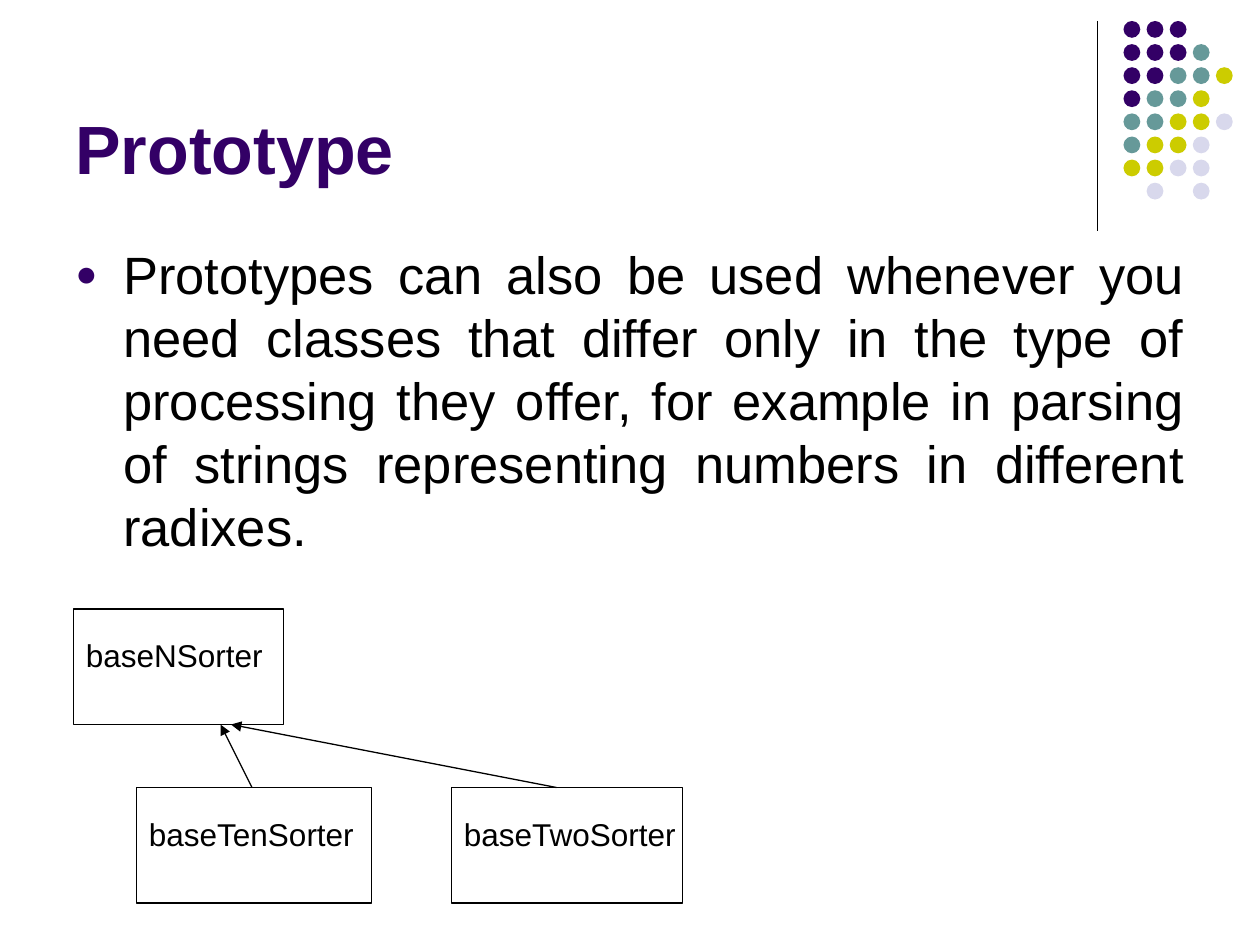
from typing import NamedTuple

from lxml.etree import SubElement
from pptx import Presentation
from pptx.dml.color import RGBColor
from pptx.enum.shapes import MSO_CONNECTOR, MSO_SHAPE
from pptx.enum.text import MSO_ANCHOR, PP_ALIGN
from pptx.oxml.ns import qn
from pptx.util import Inches, Pt

COLS, ROWS = 120, 90  # grid cells across and down the slide
WIDE, HIGH = Inches(10), Inches(7.5)
FONT = "Arial"
HUES = {
    "ink": "000000",
    "plum": "330066",
    "teal": "669999",
    "lime": "CCCC00",
    "mist": "D8D8EC",
}
DOTS = ["PPP", "PPPT", "PPTTL", "PTTL", "TTLLM", "TLLM", "LLMM", " M M"]
KEYS = {"P": "plum", "T": "teal", "L": "lime", "M": "mist"}
DOT, STEP = 1.6, 2.2


class Area(NamedTuple):
    col: float
    row: float
    cols: float
    rows: float


class Node(NamedTuple):
    name: str
    box: Area
    span: float  # columns taken by the label
    wrap: bool


class Link(NamedTuple):
    start: tuple[float, float]
    end: tuple[float, float]
    arrow: bool


NODES = [
    Node("baseNSorter", Area(7, 58, 20, 11), 19.2, False),
    Node("baseTenSorter", Area(13, 75, 22.4, 11), 22.2, False),
    Node("baseTwoSorter", Area(43, 75, 22, 11), 25, True),
]
LINKS = [
    Link((104.5, 2), (104.5, 22), False),
    Link((24, 75), (21, 69), True),
    Link((53, 75), (22, 69), True),
]


def hue(key: str) -> RGBColor:
    return RGBColor.from_string(HUES[key])


def across(col: float) -> int:
    return round(WIDE * col / COLS)


def down(row: float) -> int:
    return round(HIGH * row / ROWS)


def frame(area: Area) -> tuple[int, int, int, int]:
    return across(area.col), down(area.row), across(area.cols), down(area.rows)


def add_text(slide, area: Area, text: str, size: float, key: str = "ink",
             wrap: bool = True):
    """Add a one-paragraph text box; return its frame and paragraph."""
    body = slide.shapes.add_textbox(*frame(area)).text_frame
    body.word_wrap = wrap
    para = body.paragraphs[0]
    para.text = text
    para.font.name = FONT
    para.font.size = Pt(size)
    para.font.color.rgb = hue(key)
    return body, para


def add_bullet(para, key: str) -> None:
    props = para._p.get_or_add_pPr()
    props.set("marL", str(Inches(0.38)))
    props.set("indent", str(-Inches(0.38)))
    tint = SubElement(props, qn("a:buClr"))
    SubElement(tint, qn("a:srgbClr"), val=HUES[key])
    SubElement(props, qn("a:buSzPct"), val="70000")
    SubElement(props, qn("a:buFont"), typeface=FONT)
    SubElement(props, qn("a:buChar"), char="●")


def add_dots(slide) -> None:
    for row, marks in enumerate(DOTS):
        for col, mark in enumerate(marks):
            if mark == " ":
                continue
            spot = Area(107 + col * STEP, 2 + row * STEP, DOT, DOT)
            dot = slide.shapes.add_shape(MSO_SHAPE.OVAL, *frame(spot))
            dot.shadow.inherit = False
            dot.fill.solid()
            dot.fill.fore_color.rgb = hue(KEYS[mark])
            dot.line.fill.background()


def add_node(slide, node: Node) -> None:
    box = slide.shapes.add_shape(MSO_SHAPE.RECTANGLE, *frame(node.box))
    box.shadow.inherit = False
    box.fill.background()
    box.line.color.rgb = hue("ink")
    box.line.width = Pt(0.75)
    label = Area(node.box.col, node.box.row + 2, node.span, 4.8)
    add_text(slide, label, node.name, 18, wrap=node.wrap)


def add_link(slide, link: Link) -> None:
    (col, row), (to_col, to_row) = link.start, link.end
    line = slide.shapes.add_connector(
        MSO_CONNECTOR.STRAIGHT,
        across(col), down(row), across(to_col), down(to_row))
    line.line.color.rgb = hue("ink")
    line.line.width = Pt(0.75)
    if link.arrow:
        SubElement(line.line._get_or_add_ln(), qn("a:tailEnd"), type="triangle")
    SubElement(line._element.spPr, qn("a:effectLst"))


def main() -> None:
    deck = Presentation()
    deck.slide_width, deck.slide_height = WIDE, HIGH
    slide = deck.slides.add_slide(deck.slide_layouts[6])

    add_dots(slide)
    head, title = add_text(slide, Area(6, 1.5, 99, 17), "Prototype", 39, "plum")
    head.vertical_anchor = MSO_ANCHOR.BOTTOM
    title.font.bold = True

    _, point = add_text(
        slide, Area(6, 22.5, 108, 31.5),
        "Prototypes can also be used whenever you need classes that differ "
        "only in the type of processing they offer, for example in parsing "
        "of strings representing numbers in different radixes.", 30)
    point.alignment = PP_ALIGN.JUSTIFY
    point.line_spacing = Pt(36)
    add_bullet(point, "plum")

    for node in NODES:
        add_node(slide, node)
    for link in LINKS:
        add_link(slide, link)
    deck.save("out.pptx")


if __name__ == "__main__":
    main()
